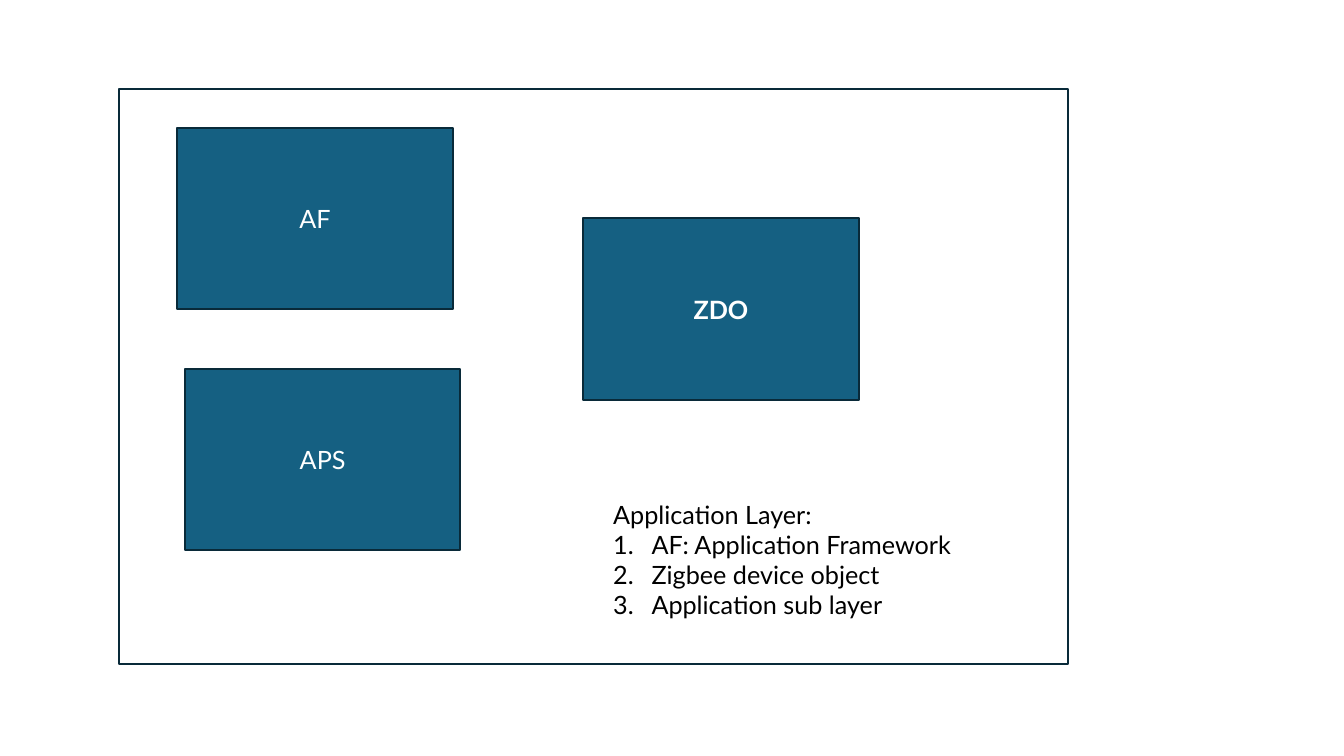
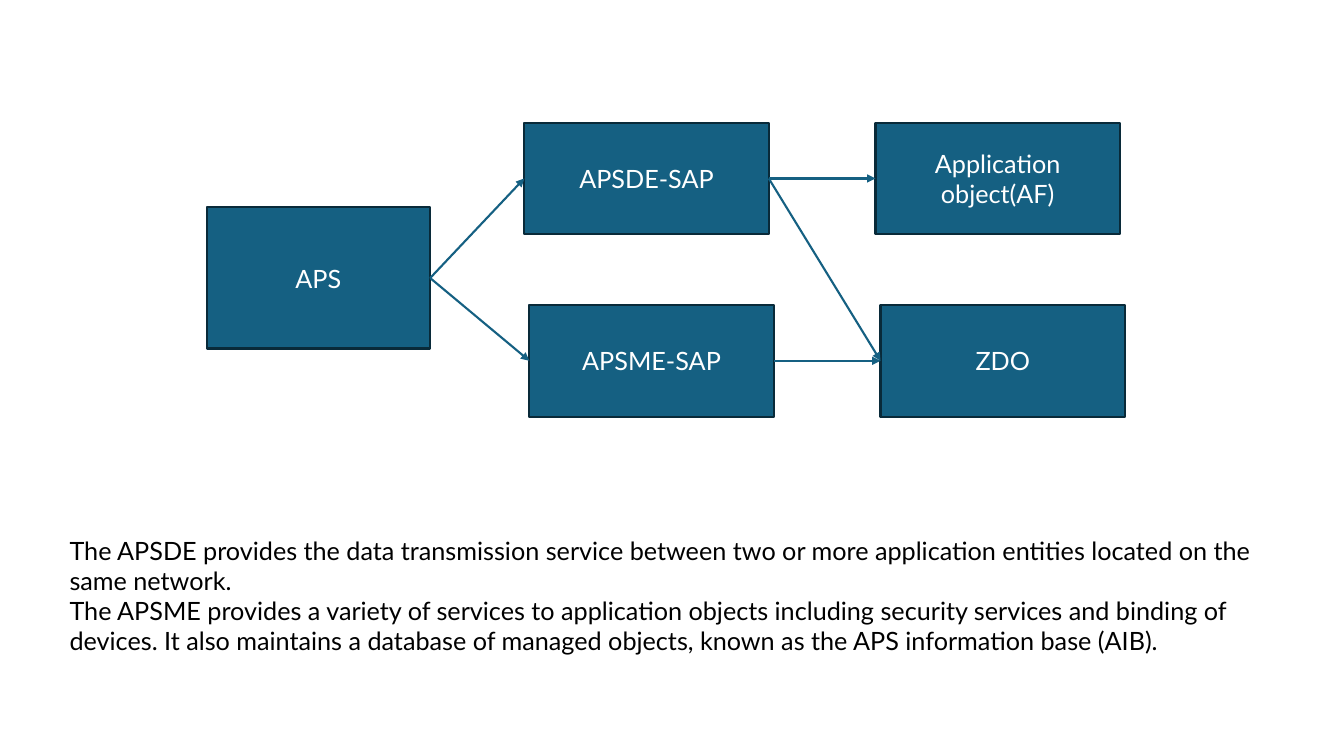
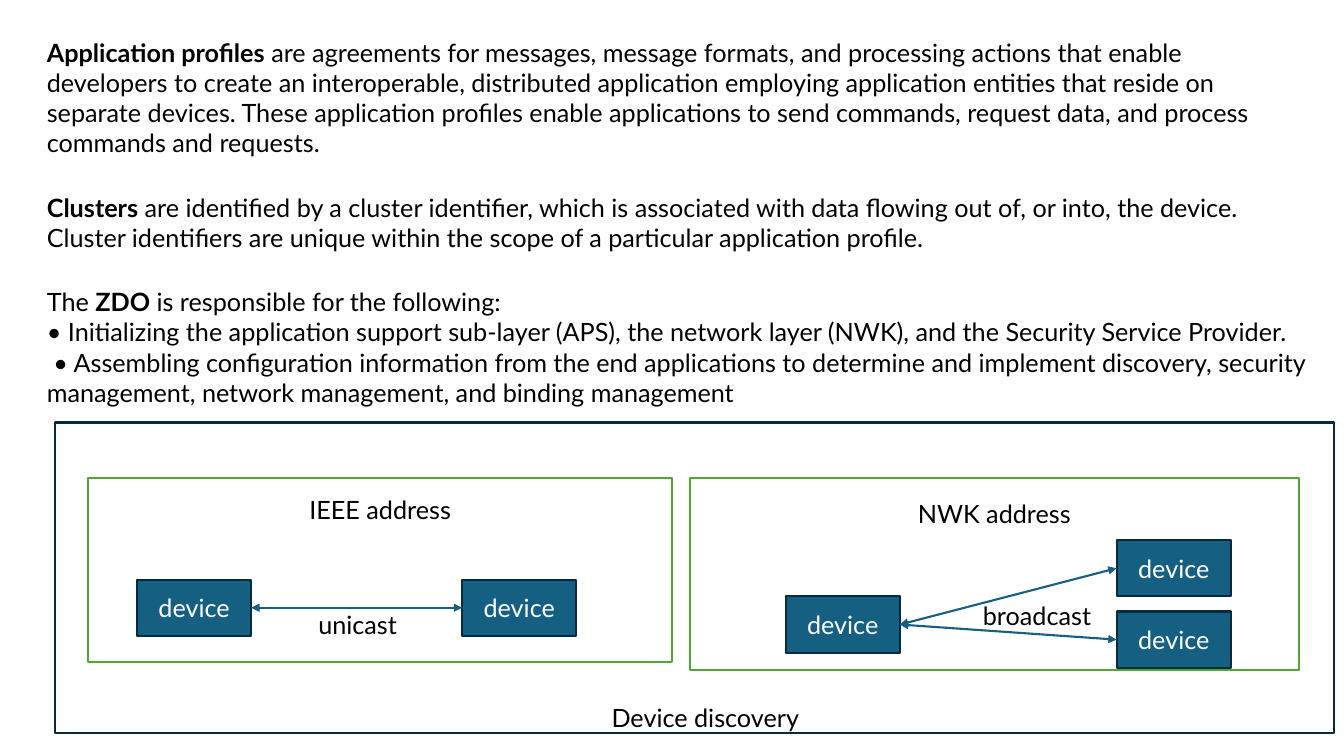
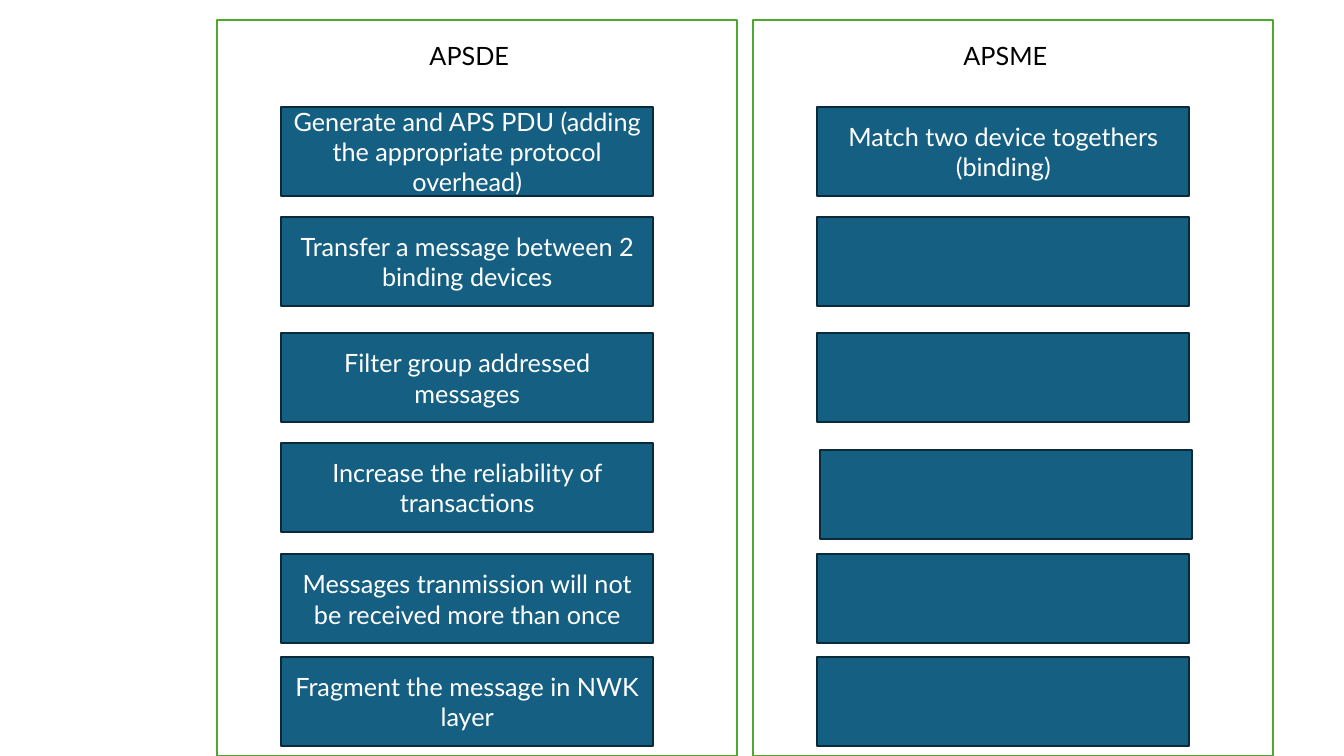
"""Build four slides on the Zigbee application layer, laid out on an 80 by 45 grid."""
from lxml.etree import SubElement
from pptx import Presentation
from pptx.dml.color import RGBColor
from pptx.enum.shapes import MSO_CONNECTOR, MSO_SHAPE
from pptx.enum.text import MSO_ANCHOR, PP_ALIGN
from pptx.oxml.ns import qn
from pptx.util import Inches, Pt

BLUE = RGBColor(0x15, 0x60, 0x82)
NAVY = RGBColor(0x09, 0x2A, 0x39)
GREEN = RGBColor(0x4E, 0xA7, 0x2E)
WHITE = RGBColor(0xFF, 0xFF, 0xFF)
BLACK = RGBColor(0, 0, 0)
FONT = "Lato"
SIZE = Pt(18)
EDGE = Pt(1.5)
ROWS = 45
STYLES = {
    "block": (BLUE, NAVY, WHITE),
    "frame": (None, NAVY, BLACK),
    "panel": (None, GREEN, BLACK),
}

deck = Presentation()
deck.slide_width = Inches(13.33)
deck.slide_height = Inches(7.5)
CELL = deck.slide_height / ROWS


def put(page, kind, at, text="", bold="", align=PP_ALIGN.LEFT):
    """Add a note or a styled rectangle at grid place (left, top, width, height)."""
    place = [round(n * CELL) for n in at]
    if kind == "note":
        shape = page.shapes.add_textbox(*place)
        ink = BLACK
    else:
        shape = page.shapes.add_shape(MSO_SHAPE.RECTANGLE, *place)
        fill, edge, ink = STYLES[kind]
        align = PP_ALIGN.CENTER
        shape.shadow.inherit = False
        shape.line.color.rgb = edge
        shape.line.width = EDGE
        if fill:
            shape.fill.solid()
            shape.fill.fore_color.rgb = fill
        else:
            shape.fill.background()
    frame = shape.text_frame
    frame.word_wrap = True
    frame.text = text
    for par in frame.paragraphs:
        par.alignment = align
        if bold and bold in par.text:
            head, key, tail = par.text.partition(bold)
            par.text = head
            par.add_run().text = key
            par.add_run().text = tail
        for run in par.runs:
            run.font.name = FONT
            run.font.size = SIZE
            run.font.color.rgb = ink
            run.font.bold = bool(bold) and run.text == bold
    return shape


def join(page, start, end, tips=("tailEnd",)):
    """Draw an arrow from the right side of one box to the left side of another."""
    wire = page.shapes.add_connector(MSO_CONNECTOR.STRAIGHT, 0, 0, 0, 0)
    wire.begin_connect(start, 3)
    wire.end_connect(end, 1)
    wire.line.color.rgb = BLUE
    wire.line.width = EDGE
    line = wire.line._get_or_add_ln()
    for tip in tips:
        SubElement(line, qn("a:" + tip), type="triangle")
    SubElement(wire._element.spPr, qn("a:effectLst"))


layers, links, roles, tasks = [
    deck.slides.add_slide(deck.slide_layouts[6]) for _ in range(4)
]

put(layers, "frame", (7.1, 5.3, 56.45, 34.25))
for left, top, name, bold in (
    (10.55, 7.6, "AF", ""),
    (34.7, 13, "ZDO", "ZDO"),
    (11, 21.95, "APS", ""),
):
    put(layers, "block", (left, top, 16.4, 10.8), name, bold)
key = put(
    layers, "note", (35.9, 29.4, 26, 7.85),
    "Application Layer:\nAF: Application Framework\n"
    "Zigbee device object\nApplication sub layer",
)
for par in key.text_frame.paragraphs[1:]:
    props = par._p.get_or_add_pPr()
    props.set("marL", str(Inches(0.38)))
    props.set("indent", str(-Inches(0.38)))
    SubElement(props, qn("a:buAutoNum"), type="arabicPeriod")

aps = put(links, "block", (12.3, 12.35, 13.3, 8.4), "APS")
data, admin, app, zdo = [
    put(links, "block", (left, top, 14.55, 6.65), name)
    for left, top, name in (
        (31.2, 7.3, "APSDE-SAP"),
        (31.5, 18.15, "APSME-SAP"),
        (52.1, 7.3, "Application object(AF)"),
        (52.4, 18.15, "ZDO"),
    )
]
for start, end in ((aps, data), (aps, admin), (data, app), (data, zdo), (admin, zdo)):
    join(links, start, end)
put(
    links, "note", (3.55, 31.55, 74.2, 7.85),
    "The APSDE provides the data transmission service between two or more "
    "application entities located on the same network.\n"
    "The APSME provides a variety of services to application objects including "
    "security services and binding of devices. It also maintains a database of "
    "managed objects, known as the APS information base (AIB).",
)

for top, width, high, bold, text in (
    (1.9, 75.6, 7.85, "Application profiles",
     "Application profiles are agreements for messages, message formats, and "
     "processing actions that enable developers to create an interoperable, "
     "distributed application employing application entities that reside on "
     "separate devices. These application profiles enable applications to send "
     "commands, request data, and process commands and requests."),
    (11.15, 75.1, 4.25, "Clusters",
     "Clusters are identified by a cluster identifier, which is associated with "
     "data flowing out of, or into, the device. Cluster identifiers are unique "
     "within the scope of a particular application profile."),
    (16.75, 76.5, 7.85, "ZDO",
     "The ZDO is responsible for the following:\n"
     "• Initializing the application support sub-layer (APS), the network layer "
     "(NWK), and the Security Service Provider.\n"
     " • Assembling configuration information from the end applications to "
     "determine and implement discovery, security management, network "
     "management, and binding management"),
):
    put(roles, "note", (2.2, top, width, high), text, bold)
put(roles, "frame", (3.3, 25.15, 76.1, 18.5))
for left, width, high, inset, name in (
    (5.25, 34.75, 10.95, 0.97, "IEEE address"),
    (41.05, 36.25, 11.45, 1.23, "NWK address"),
):
    panel = put(roles, "panel", (left, 28.45, width, high), name)
    panel.text_frame.vertical_anchor = MSO_ANCHOR.TOP
    panel.text_frame.margin_top = round(inset * CELL)
one, two, hub, upper, lower = [
    put(roles, "block", (left, top, 6.8, 3.35), "device")
    for left, top in (
        (8.15, 34.5), (27.5, 34.5), (46.75, 35.5), (66.45, 32.15), (66.45, 36.4),
    )
]
for start, end in ((one, two), (hub, upper), (hub, lower)):
    join(roles, start, end, ("headEnd", "tailEnd"))
for left, top, width, name in (
    (18.35, 36, 7, "unicast"),
    (57.9, 35.45, 8.8, "broadcast"),
    (35.8, 41.5, 17.7, "Device discovery"),
):
    put(roles, "note", (left, top, width, 2.4), name)

TOPS = (6.35, 12.9, 19.85, 26.35, 33, 39.1)
for left, name, jobs in (
    (12.9, "APSDE", (
        "Generate and APS PDU (adding the appropriate protocol overhead)",
        "Transfer a message between 2 binding devices",
        "Filter group addressed messages",
        "Increase the reliability of transactions",
        "Messages tranmission will not be received more than once",
        "Fragment the message in NWK layer",
    )),
    (44.8, "APSME", ("Match two device togethers (binding)", "", "", "", "", "")),
):
    put(tasks, "panel", (left, 1.2, 30.95, 43.8))
    put(tasks, "note", (left, 2.1, 30.05, 2.4), name, align=PP_ALIGN.CENTER)
    for row, (top, job) in enumerate(zip(TOPS, jobs)):
        slip = (0.15, 0.45) if name == "APSME" and row == 3 else (0, 0)
        put(tasks, "block", (left + 3.83 + slip[0], top + slip[1], 22.15, 5.3), job)

deck.save("out.pptx")
